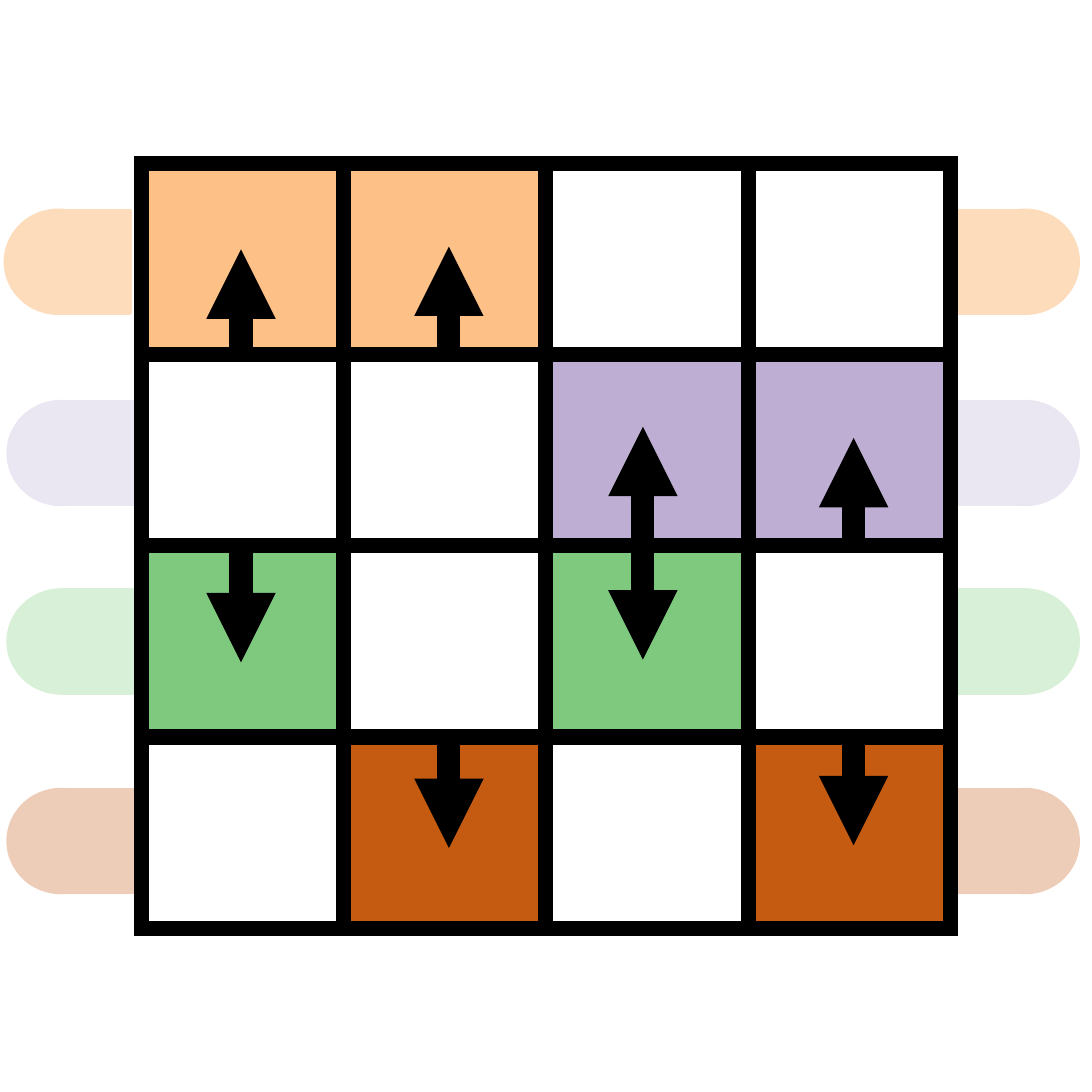
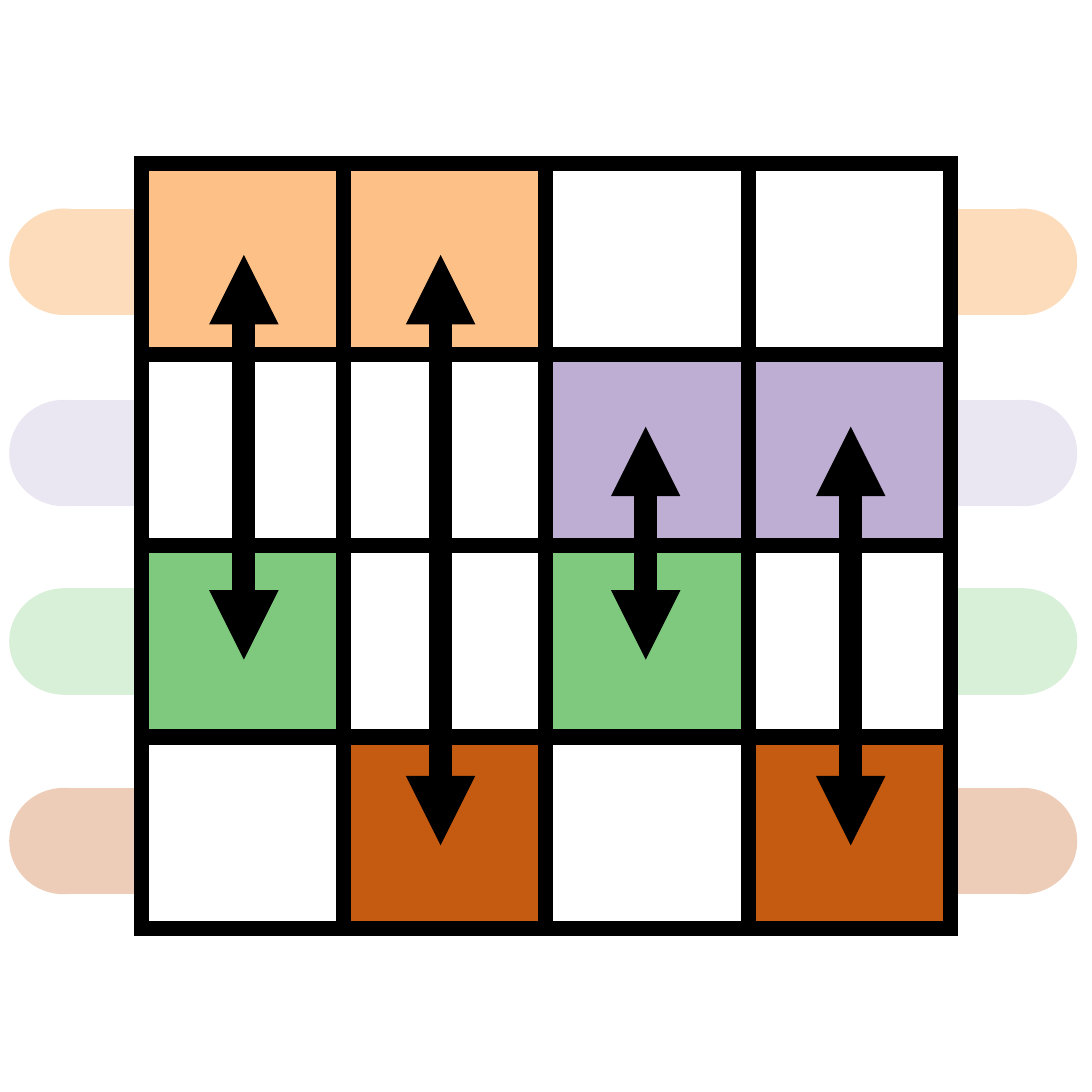
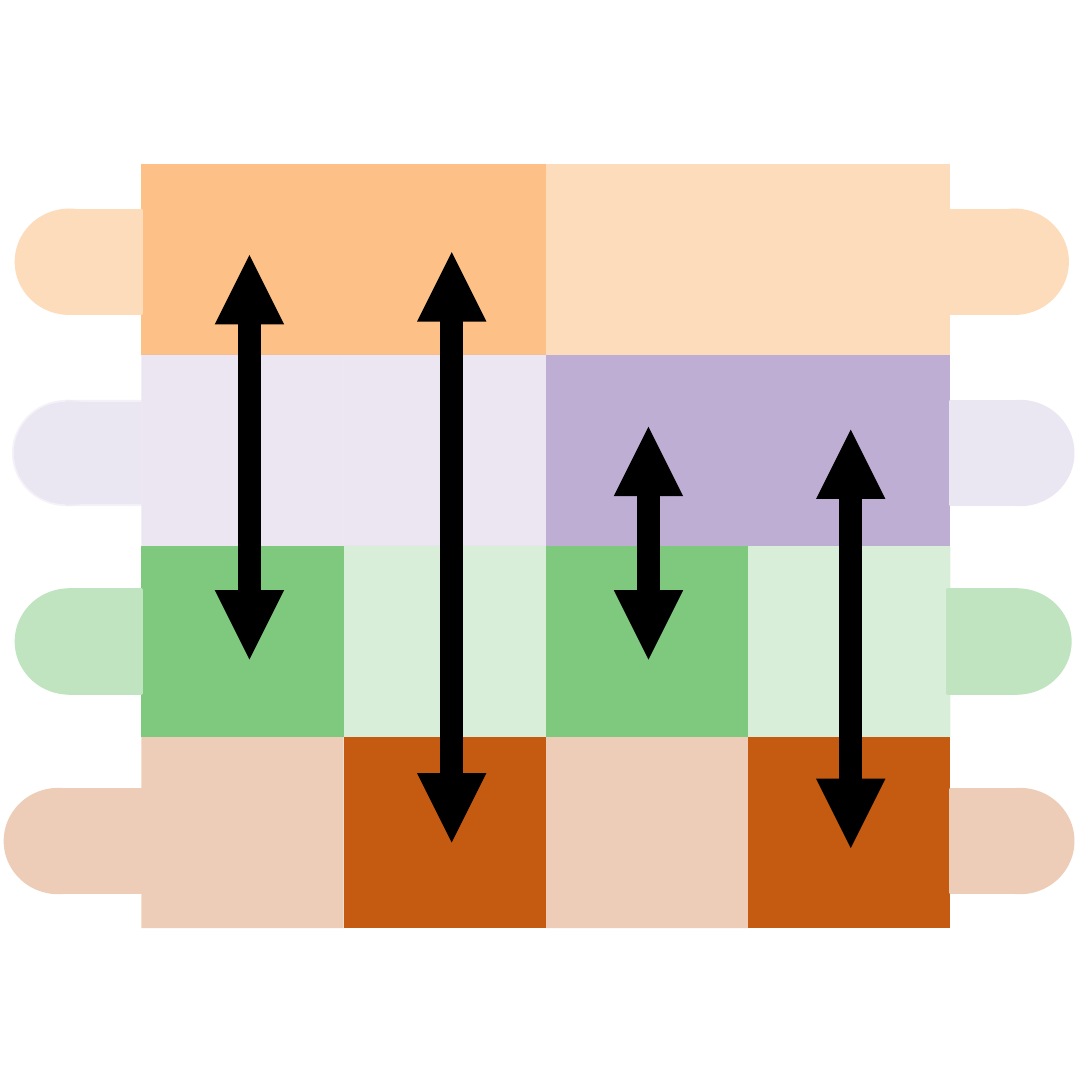
from lxml.etree import SubElement
from pptx import Presentation
from pptx.dml.color import RGBColor
from pptx.enum.shapes import MSO_CONNECTOR as CONN, MSO_SHAPE as SHAPE
from pptx.oxml.ns import qn
from pptx.util import Inches, Pt

COLORS = {
    "black": "000000", "white": "FFFFFF",
    "orange": "FDC086", "purple": "BEAED4", "green": "7FC97F", "brown": "C55A11",
    "pale_orange": "FDDCBB", "pale_purple": "EBE7F2",
    "pale_green": "D8EFD8", "pale_brown": "EDCDB7", "mid_green": "BFE4BF",
}
SIDE = 3.94
GRID_X, GRID_Y, COL_W, ROW_H = 0.51, 0.59, 0.73, 0.69
PILL_TOPS = [0.76, 1.45, 2.13, 2.85]
CAP_W, PILL_H = 0.38, 0.37
ROWS = ["orange", "purple", "green", "brown"]
ON = ["1100", "0011", "1010", "0101"]
PILLS = ["pale_orange", "pale_purple", "pale_green", "pale_brown"]
PILLS_MERGED = ["pale_orange", "pale_purple", "mid_green", "pale_brown"]


def set_alpha(parent, percent):
    """Make the solid colour under an XML element partly transparent."""
    clr = next(parent.iter(qn("a:srgbClr")))
    SubElement(clr, qn("a:alpha"), val=str(percent * 1000))


class Deck:
    def __init__(self):
        self.prs = Presentation()
        self.prs.slide_width = self.prs.slide_height = Inches(SIDE)
        self.s = None

    def new_slide(self):
        self.s = self.prs.slides.add_slide(self.prs.slide_layouts[6])

    def color(self, name):
        return RGBColor.from_string(COLORS[name])

    def pill(self, cap_x, edge, y, color, line_alpha=None):
        """Group a round cap with a body that runs from its centre to edge."""
        center = cap_x + CAP_W / 2
        parts = [(SHAPE.RECTANGLE, min(center, edge), abs(edge - center)),
                 (SHAPE.OVAL, cap_x, CAP_W)]
        group = self.s.shapes.add_group_shape()
        for kind, x, w in parts:
            sp = group.shapes.add_shape(kind, Inches(x), Inches(y), Inches(w), Inches(PILL_H))
            sp.shadow.inherit = False
            sp.fill.solid()
            sp.fill.fore_color.rgb = self.color(color)
            sp.line.color.rgb = self.color(color)
            sp.line.width = Pt(1)
            if line_alpha:
                set_alpha(sp._element.spPr.find(qn("a:ln")), line_alpha)

    def pills(self, ends, colors, faded=None):
        """Draw one pill per row; ends holds a (cap_x, edge) pair for each."""
        for (cap_x, edge), y, color in zip(ends, PILL_TOPS, colors):
            self.pill(cap_x, edge, y, color, 50 if color == faded else None)

    def borders(self, cell, width):
        tc_pr = cell._tc.get_or_add_tcPr()
        for side in ("lnL", "lnR", "lnT", "lnB"):
            if width:
                ln = SubElement(tc_pr, qn(f"a:{side}"), w=str(Pt(width)))
                fill = SubElement(ln, qn("a:solidFill"))
                SubElement(fill, qn("a:srgbClr"), val=COLORS["black"])
            else:
                SubElement(SubElement(tc_pr, qn(f"a:{side}"), w="0"), qn("a:noFill"))

    def grid(self, merged=False):
        """Draw the 4 by 4 table; merged drops borders and tints the off cells."""
        table = self.s.shapes.add_table(
            4, 4, Inches(GRID_X), Inches(GRID_Y), Inches(4 * COL_W), Inches(4 * ROW_H)).table
        table.first_row = table.horz_banding = False
        for col in table.columns:
            col.width = Inches(COL_W)
        for row, color, flags in zip(table.rows, ROWS, ON):
            row.height = Inches(ROW_H)
            for cell, flag in zip(row.cells, flags):
                self.borders(cell, 0 if merged else 4.5)
                tinted = merged and flag == "0"
                if tinted and color == "orange":
                    name = "pale_orange"
                else:
                    name = color if merged or flag == "1" else "white"
                cell.fill.solid()
                cell.fill.fore_color.rgb = self.color(name)
                if tinted and name == color:
                    set_alpha(cell._tc.tcPr.find(qn("a:solidFill")), 30)

    def arrow(self, x, start, end, double=True):
        c = self.s.shapes.add_connector(
            CONN.STRAIGHT, Inches(x), Inches(start), Inches(x), Inches(end))
        c.line.color.rgb = self.color("black")
        c.line.width = Pt(6)
        sp_pr = c._element.spPr
        ln = sp_pr.find(qn("a:ln"))
        for tag in ("a:headEnd", "a:tailEnd") if double else ("a:tailEnd",):
            SubElement(ln, qn(tag), type="triangle")
        SubElement(sp_pr, qn("a:effectLst"))

    def arrows(self, spans, double=True):
        for x, start, end in spans:
            self.arrow(x, start, end, double)


def main():
    deck = Deck()

    deck.new_slide()
    deck.pills([(0.02, 0.47)] + [(0.03, 0.48)] * 3, PILLS)
    deck.pills([(3.51, 3.44)] * 4, PILLS)
    deck.grid()
    deck.arrows([(2.32, 1.54, 2.38)])
    deck.arrows([(0.87, 1.29, 0.9), (0.87, 1.99, 2.39),
                 (1.62, 1.28, 0.89), (1.62, 2.65, 3.06),
                 (3.08, 1.97, 1.58), (3.08, 2.64, 3.05)], double=False)

    deck.new_slide()
    deck.pills([(0.04, 0.49)] * 4, PILLS)
    deck.pills([(3.5, 3.44)] * 4, PILLS)
    deck.grid()
    deck.arrows([(0.88, 0.92, 2.38), (1.59, 0.92, 3.05),
                 (2.33, 1.54, 2.38), (3.07, 1.54, 3.05)])

    deck.new_slide()
    deck.grid(merged=True)
    deck.pills([(0.06, 0.51), (0.05, 0.51), (0.06, 0.51), (0.02, 0.52)],
               PILLS_MERGED, faded="pale_purple")
    deck.pills([(3.47, 3.42), (3.49, 3.43), (3.48, 3.42), (3.49, 3.43)], PILLS_MERGED)
    deck.arrows([(0.9, 0.92, 2.38), (1.63, 0.91, 3.04),
                 (2.34, 1.54, 2.38), (3.07, 1.55, 3.06)])

    deck.prs.save("out.pptx")


if __name__ == "__main__":
    main()
